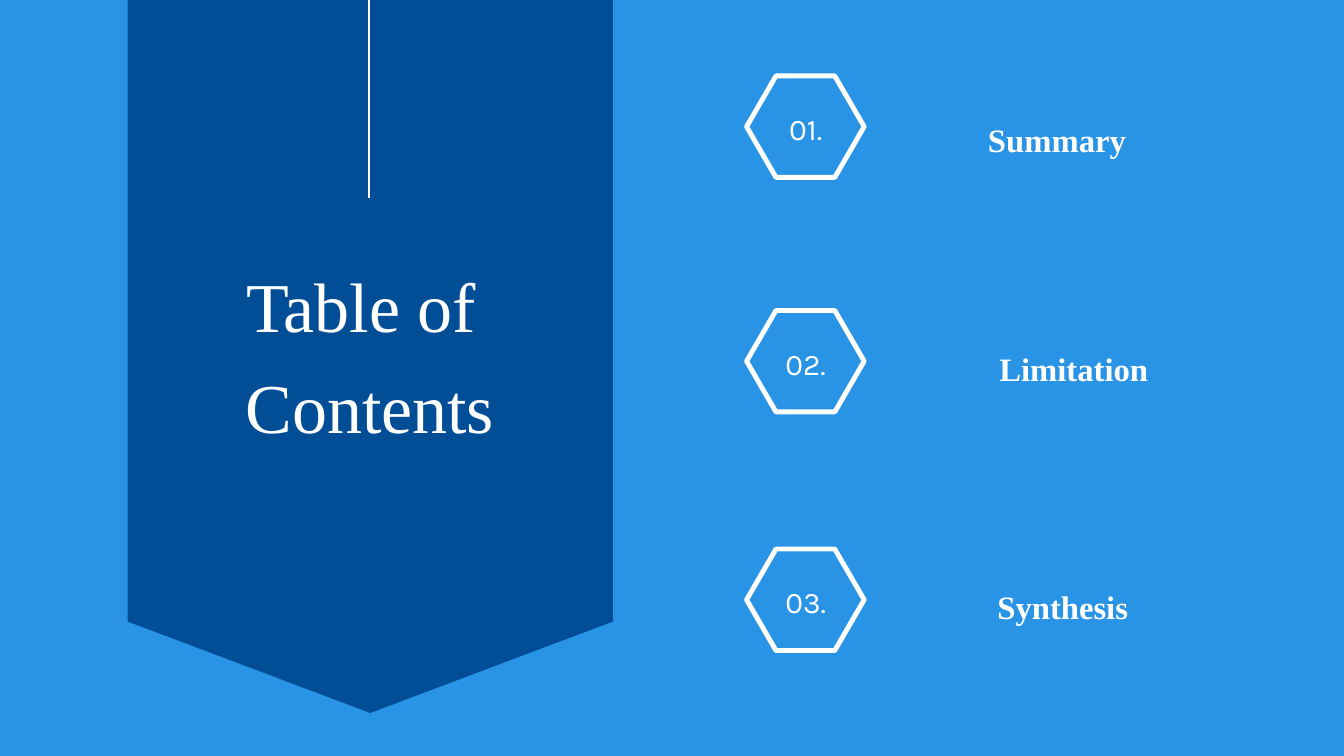
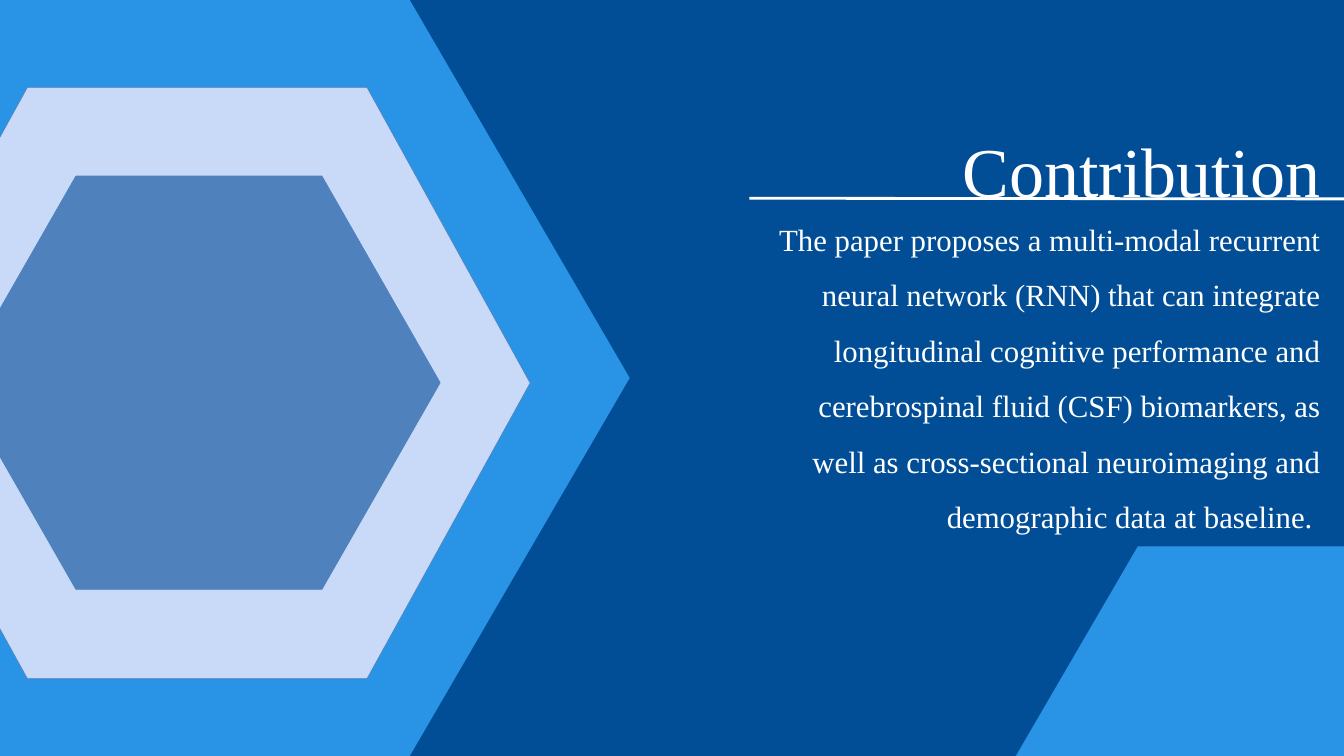
from collections import namedtuple
from dataclasses import dataclass

from lxml import etree
from pptx import Presentation
from pptx.dml.color import RGBColor
from pptx.enum.shapes import MSO_CONNECTOR
from pptx.enum.text import MSO_ANCHOR, MSO_AUTO_SIZE, PP_ALIGN
from pptx.oxml.ns import qn
from pptx.util import Inches, Pt

CENTER, RIGHT = PP_ALIGN.CENTER, PP_ALIGN.RIGHT
TOP, MIDDLE = MSO_ANCHOR.TOP, MSO_ANCHOR.MIDDLE
GROW, FIXED = MSO_AUTO_SIZE.SHAPE_TO_FIT_TEXT, MSO_AUTO_SIZE.NONE
STRAIGHT = MSO_CONNECTOR.STRAIGHT

Box = namedtuple("Box", "left top width height")
PAGE = Box(0, 0, 20, 11.25)


@dataclass(frozen=True)
class Theme:
    """Colours, fonts and sizes shared by the slides."""
    sky: str = "2994E5"
    navy: str = "014E97"
    pale: str = "C9DAF8"
    steel: str = "4F81BD"
    white: str = "FFFFFF"
    serif: str = "Times New Roman"
    sans: str = "Karla"
    title_size: float = 75
    label_size: float = 35
    body_size: float = 33
    number_size: float = 32
    rule_width: float = 3
    badge_width: float = 5.25
    edge_width: float = 0.75


THEME = Theme()


def add_page(deck, colour):
    """Add a blank slide with a plain background."""
    page = deck.slides.add_slide(deck.slide_layouts[6])
    page.background.fill.solid()
    page.background.fill.fore_color.rgb = RGBColor.from_string(colour)
    return page


def add_text(page, box, lines, size, font=THEME.serif, align=CENTER, bold=False,
             spacing=1.2, anchor=TOP, inset=0, autosize=GROW):
    """Add white text, one paragraph per line, and return its paragraphs."""
    frame = page.shapes.add_textbox(*map(Inches, box)).text_frame
    frame.word_wrap = True
    frame.auto_size = autosize
    frame.vertical_anchor = anchor
    frame.margin_left = frame.margin_right = Inches(inset)
    frame.margin_top = frame.margin_bottom = Inches(inset)
    frame.text = "\n".join(lines)
    for para in frame.paragraphs:
        para.alignment = align
        para.line_spacing = spacing
        for span in para.runs:
            span.font.name = font
            span.font.size = Pt(size)
            span.font.bold = bold
            span.font.color.rgb = RGBColor.from_string(THEME.white)
    return frame.paragraphs


def add_outline(page, box, points, fill=None, line=None, width=0):
    """Add a closed polygon whose points are offsets within the box."""
    corners = [(Inches(box.left + x), Inches(box.top + y)) for x, y in points]
    builder = page.shapes.build_freeform(*corners[0])
    builder.add_line_segments(corners[1:], close=True)
    shape = builder.convert_to_shape()
    shape.shadow.inherit = False
    if fill:
        shape.fill.solid()
        shape.fill.fore_color.rgb = RGBColor.from_string(fill)
    else:
        shape.fill.background()
    if line:
        shape.line.color.rgb = RGBColor.from_string(line)
        shape.line.width = Pt(width)
    else:
        shape.line.fill.background()


def add_hexagon(page, box, shoulder=0.25, **style):
    """Add a flat-topped hexagon filling the box."""
    cut, width, height = shoulder * box.width, box.width, box.height
    points = [(width, height / 2), (width - cut, height), (cut, height),
              (0, height / 2), (cut, 0), (width - cut, 0)]
    add_outline(page, box, points, **style)


def add_rule(page, *ends):
    """Add a thin white line between two points."""
    rule = page.shapes.add_connector(STRAIGHT, *map(Inches, ends))
    rule.line.color.rgb = RGBColor.from_string(THEME.white)
    rule.line.width = Pt(THEME.rule_width)
    etree.SubElement(rule._element.spPr, qn("a:effectLst"))


def add_ribbon(page, box, lines):
    """Add the pointed ribbon with its title and hanging line."""
    width, height = box.width, box.height
    shoulder = height - 1.36
    add_outline(page, box, [(width, 0), (width, shoulder), (width / 2, height),
                            (0, shoulder), (0, 0)], fill=THEME.navy)
    title = Box(box.left + 0.15, box.top + 3.66, width - 0.31, 2.51)
    add_text(page, title, lines, THEME.title_size)
    middle = box.left + 3.59
    add_rule(page, middle, box.top - 1.45, middle, box.top + 2.95)


def add_badge(page, box, number):
    """Add a hexagonal outline around an entry number."""
    add_hexagon(page, box, line=THEME.white, width=THEME.badge_width)
    inner = Box(box.left + 0.25, box.top - 0.03, 1.26, 1.53)
    add_text(page, inner, [f"{number:02}."], THEME.number_size, THEME.sans,
             anchor=MIDDLE, inset=0.06, autosize=FIXED)


def add_contents_page(deck):
    """Build the table of contents."""
    page = add_page(deck, THEME.sky)
    add_ribbon(page, Box(1.9, 0, 7.22, 10.61), ["Table of ", "Contents"])
    entries = [
        ("Summary", 1.13, Box(13.85, 1.66, 3.76, 0.59)),
        ("Limitation", 4.62, Box(14.1, 5.07, 3.76, 0.59)),
        ("Synthesis", 8.17, Box(13.66, 8.62, 4.31, 0.59)),
    ]
    for number, (label, top, label_box) in enumerate(entries, 1):
        add_badge(page, Box(11.11, top, 1.75, 1.51), number)
        add_text(page, label_box, [label], THEME.label_size, bold=True)


def add_nested_hexagons(page, box):
    """Add the large hexagon with two smaller ones inside it."""
    add_hexagon(page, box, fill=THEME.sky)
    rings = [(Box(1.7, 1.3, 9.91, 8.8), THEME.pale),
             (Box(3.09, 2.62, 7.18, 6.15), THEME.steel)]
    for ring, colour in rings:
        placed = ring._replace(left=box.left + ring.left, top=box.top + ring.top)
        add_hexagon(page, placed, 0.245, fill=colour, line=THEME.steel,
                    width=THEME.edge_width)


def add_statement(page, box, title, body):
    """Add a right-aligned title, its underline and a body paragraph."""
    add_text(page, box._replace(height=1.26), [title], THEME.title_size, align=RIGHT)
    body_box = Box(box.left + 1.06, box.top + 1.36, box.width - 1.06, box.height - 1.36)
    para = add_text(page, body_box, [body], THEME.body_size, align=RIGHT, spacing=1.5)[0]
    para.space_after = Pt(6)
    para._p.get_or_add_pPr().set("marL", str(Inches(0.5)))
    add_rule(page, box.left + 1.41, box.top + 1.3, PAGE.width, box.top + 1.31)


def add_contribution_page(deck):
    """Build the contribution slide."""
    page = add_page(deck, THEME.navy)
    add_nested_hexagons(page, Box(-3.72, 0, 13.09, PAGE.height))
    add_hexagon(page, Box(13.86, 8.13, 12.29, 10.56), fill=THEME.sky)
    add_statement(
        page, Box(9.74, 1.65, 9.91, 6.08), "Contribution",
        "The paper proposes a multi-modal recurrent neural network (RNN) that can "
        "integrate longitudinal cognitive performance and cerebrospinal fluid (CSF) "
        "biomarkers, as well as cross-sectional neuroimaging and demographic data "
        "at baseline. ")


def main():
    """Build and save the deck."""
    deck = Presentation()
    deck.slide_width, deck.slide_height = Inches(PAGE.width), Inches(PAGE.height)
    add_contents_page(deck)
    add_contribution_page(deck)
    deck.save("out.pptx")


if __name__ == "__main__":
    main()
